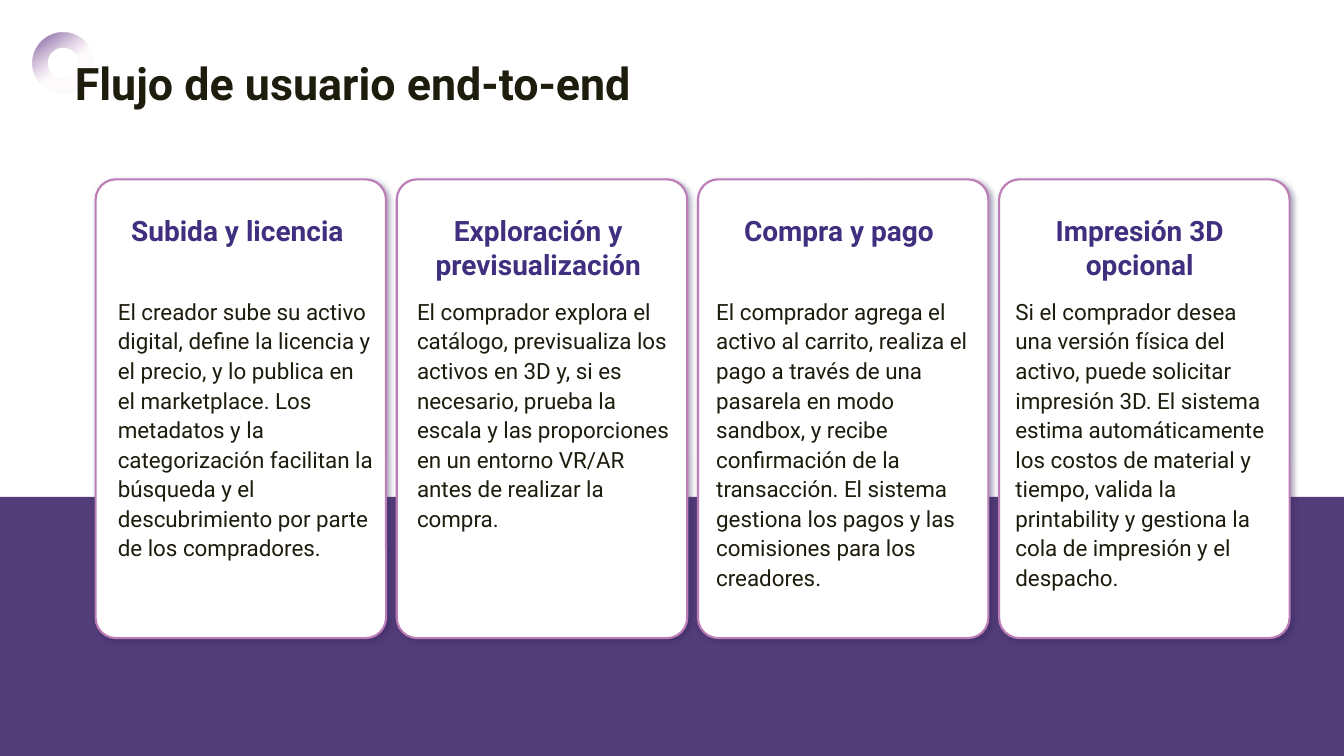
"""Build the slide that shows the end-to-end user flow as four cards."""
from lxml import etree
from pptx import Presentation
from pptx.dml.color import RGBColor
from pptx.enum.shapes import MSO_SHAPE
from pptx.enum.text import MSO_ANCHOR, MSO_AUTO_SIZE, PP_ALIGN
from pptx.oxml import parse_xml
from pptx.oxml.ns import qn
from pptx.util import Cm, Pt

DONUT, RECTANGLE = MSO_SHAPE.DONUT, MSO_SHAPE.RECTANGLE
ROUNDED = MSO_SHAPE.ROUNDED_RECTANGLE
LEFT, CENTER = PP_ALIGN.LEFT, PP_ALIGN.CENTER
TOP = MSO_ANCHOR.TOP
NO_FIT = MSO_AUTO_SIZE.NONE

NAMESPACE = 'xmlns:a="http://schemas.openxmlformats.org/drawingml/2006/main"'
FONT = "Roboto"
WHITE, INK, INDIGO = "FFFFFF", "1E1C0D", "402E7F"
PURPLE, PINK, SHADOW = "533D78", "BC7DB7", "30225F"

STEPS = [
    ("Subida y licencia",
     "El creador sube su activo digital, define la licencia y el precio, y lo "
     "publica en el marketplace. Los metadatos y la categorización facilitan la "
     "búsqueda y el descubrimiento por parte de los compradores."),
    ("Exploración y previsualización",
     "El comprador explora el catálogo, previsualiza los activos en 3D y, si es "
     "necesario, prueba la escala y las proporciones en un entorno VR/AR antes de "
     "realizar la compra."),
    ("Compra y pago",
     "El comprador agrega el activo al carrito, realiza el pago a través de una "
     "pasarela en modo sandbox, y recibe confirmación de la transacción. El "
     "sistema gestiona los pagos y las comisiones para los creadores."),
    ("Impresión 3D opcional",
     "Si el comprador desea una versión física del activo, puede solicitar "
     "impresión 3D. El sistema estima automáticamente los costos de material y "
     "tiempo, valida la printability y gestiona la cola de impresión y el despacho."),
]


def color(hex_code):
    return RGBColor.from_string(hex_code)


def add_panel(slide, kind, left, top, width, height, fill):
    shape = slide.shapes.add_shape(kind, Cm(left), Cm(top), Cm(width), Cm(height))
    shape.shadow.inherit = False
    shape.fill.solid()
    shape.fill.fore_color.rgb = color(fill)
    shape.line.fill.background()
    return shape


def add_ring(slide):
    ring = add_panel(slide, DONUT, 0.81, 0.81, 1.55, 1.55, INDIGO)
    ring.rotation = 99
    faded = f'<a:srgbClr val="{PINK}"><a:alpha val="3000"/></a:srgbClr>'
    gradient = parse_xml(
        f'<a:gradFill {NAMESPACE} rotWithShape="1"><a:gsLst>'
        f'<a:gs pos="0"><a:srgbClr val="{INDIGO}"/></a:gs>'
        f'<a:gs pos="54000">{faded}</a:gs><a:gs pos="100000">{faded}</a:gs>'
        '</a:gsLst><a:lin ang="18900000" scaled="0"/></a:gradFill>')
    properties = ring.element.spPr
    properties.replace(properties.find(qn("a:solidFill")), gradient)


def add_card(slide, left):
    card = add_panel(slide, ROUNDED, left, 4.52, 7.32, 11.56, WHITE)
    card.adjustments[0] = 0.07
    card.line.color.rgb = color(PINK)
    card.line.width = Pt(1.5)
    effects = card.element.spPr.find(qn("a:effectLst"))
    shadow = etree.SubElement(
        effects, qn("a:outerShdw"), blurRad=str(Pt(4)), dist=str(Pt(2.1)),
        dir="2700000", algn="tl", rotWithShape="0")
    tint = etree.SubElement(shadow, qn("a:srgbClr"), val=SHADOW)
    etree.SubElement(tint, qn("a:alpha"), val="40000")


def write_text(shape, text, size, hex_code, bold=False, align=LEFT, spacing=1.0):
    frame = shape.text_frame
    frame.text = text
    frame.word_wrap = True
    frame.auto_size = NO_FIT
    frame.vertical_anchor = TOP
    paragraph = frame.paragraphs[0]
    paragraph.alignment = align
    paragraph.line_spacing = spacing
    font = paragraph.font
    font.name, font.size, font.bold = FONT, Pt(size), bold
    font.color.rgb = color(hex_code)


def add_text(slide, left, top, width, height, text, size, hex_code, **style):
    box = slide.shapes.add_textbox(Cm(left), Cm(top), Cm(width), Cm(height))
    write_text(box, text, size, hex_code, **style)


def place_title(slide, text, below):
    title = slide.shapes.title
    title.left, title.top = Cm(1.63), Cm(1.27)
    title.width, title.height = Cm(24.13), Cm(1.37)
    write_text(title, text, 32, INK, bold=True)
    below.element.addnext(title.element)


def main():
    presentation = Presentation()
    presentation.slide_width, presentation.slide_height = Cm(33.87), Cm(19.05)
    slide = presentation.slides.add_slide(presentation.slide_layouts[5])
    add_ring(slide)
    band = add_panel(slide, RECTANGLE, 0, 12.52, 33.87, 6.53, PURPLE)
    place_title(slide, "Flujo de usuario end-to-end", band)
    for index, (heading, description) in enumerate(STEPS):
        add_card(slide, 2.41 + 7.59 * index)
        add_text(slide, 2.67 + 7.58 * index, 5.26, 6.63, 1.83, heading, 20, INDIGO,
                 bold=True, align=CENTER)
        add_text(slide, 2.72 + 7.54 * index, 7.32, 7.01, 7.95, description, 16, INK,
                 spacing=1.1)
    presentation.save("out.pptx")


if __name__ == "__main__":
    main()
